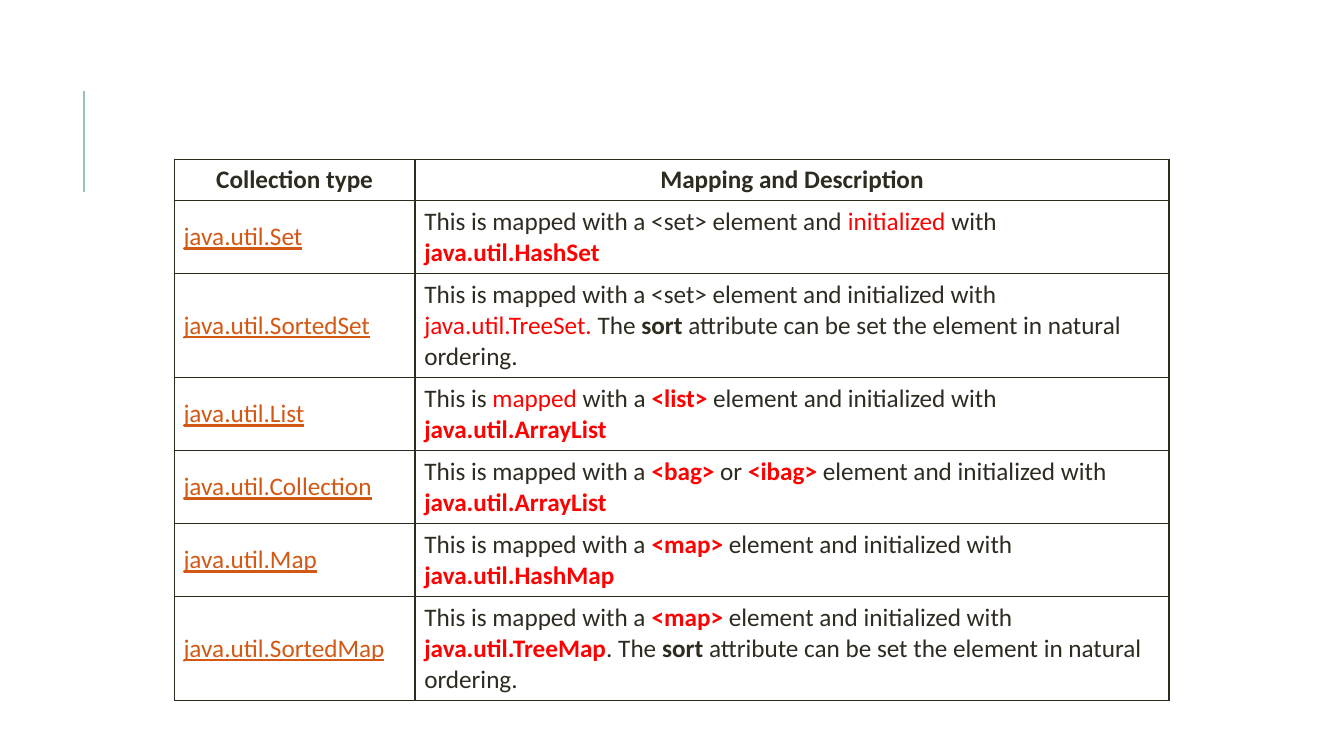
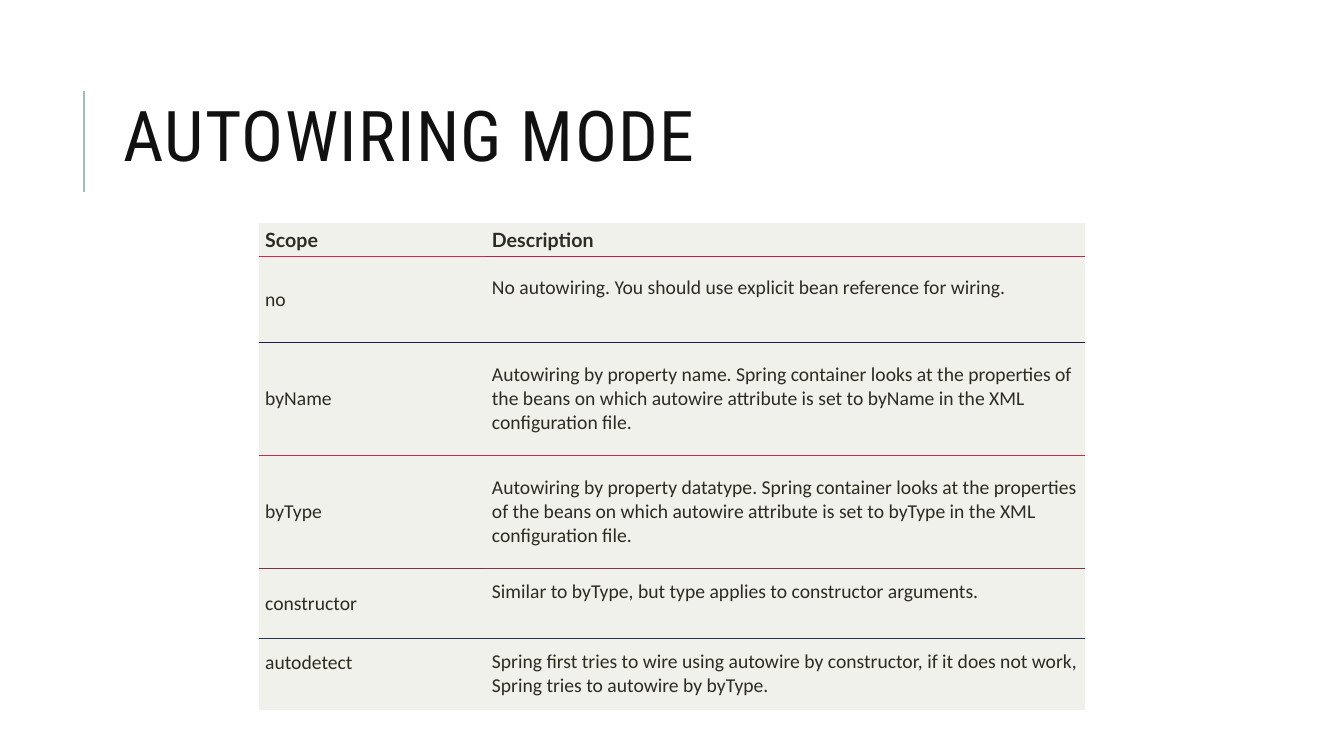
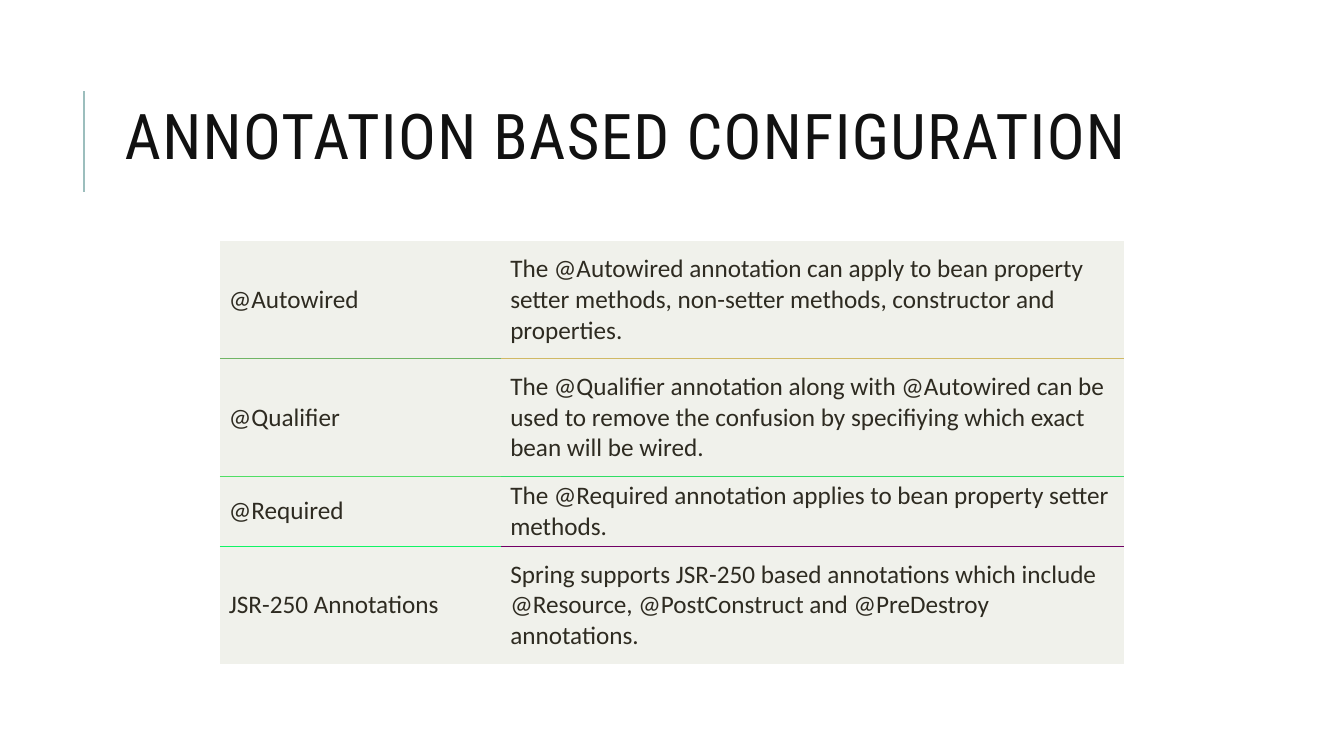
import pptx
import pptx.dml.color
import pptx.enum.shapes
import pptx.enum.text
import pptx.oxml.ns
import pptx.util
from lxml import etree

Pt = pptx.util.Pt
qn = pptx.oxml.ns.qn

COLORS = {
    "ink": "2E2B21", "title": "111111", "accent": "9CBEBD",
    "red": "FF0000", "link": "D25814", "panel": "F0F1EB",
}
TITLE_FONT, HEADER_FONT, BODY_FONT = "Roboto Condensed", "Lato", "Calibri"
LEFT, CENTER = pptx.enum.text.PP_ALIGN.LEFT, pptx.enum.text.PP_ALIGN.CENTER

# Run styles: colour, bold, underline
RUN_STYLES = {
    "plain": ("ink", False, False),
    "bold": ("ink", True, False),
    "red": ("red", False, False),
    "key": ("red", True, False),
    "link": ("link", False, True),
}


def rgb(name):
    return pptx.dml.color.RGBColor.from_string(COLORS[name])


def add_base(presentation):
    """Add a blank slide with the accent line beside the title."""
    slide = presentation.slides.add_slide(presentation.slide_layouts[6])
    line = slide.shapes.add_connector(
        pptx.enum.shapes.MSO_CONNECTOR.STRAIGHT, Pt(60), Pt(137), Pt(60), Pt(65))
    line.line.color.rgb = rgb("accent")
    line.line.width = Pt(1.5)
    etree.SubElement(line._element.spPr, qn("a:effectLst"))
    return slide


def add_title(slide, text, left, size):
    shape = slide.shapes.add_textbox(Pt(left), Pt(65), Pt(765), Pt(72))
    frame = shape.text_frame
    frame.word_wrap = True
    frame.vertical_anchor = pptx.enum.text.MSO_ANCHOR.MIDDLE
    frame.text = text
    paragraph = frame.paragraphs[0]
    paragraph.line_spacing = 0.8
    font = paragraph.runs[0].font
    font.name, font.size, font.color.rgb = TITLE_FONT, Pt(size), rgb("title")
    paragraph.runs[0]._r.get_or_add_rPr().set("spc", "100")


def set_borders(cell, borders, width):
    """Draw the given sides (L, R, T, B) and hide the others."""
    properties = cell._tc.get_or_add_tcPr()
    for side in "LRTB":
        line = etree.SubElement(properties, qn("a:ln" + side), w=str(Pt(width)))
        color = borders.get(side)
        if color:
            fill = etree.SubElement(line, qn("a:solidFill"))
            etree.SubElement(fill, qn("a:srgbClr"), val=color)
        else:
            etree.SubElement(line, qn("a:noFill"))


def fill_cell(cell, runs, size, font_name, alignment):
    cell.vertical_anchor = pptx.enum.text.MSO_ANCHOR.MIDDLE
    cell.text_frame.word_wrap = True
    paragraph = cell.text_frame.paragraphs[0]
    paragraph.alignment = alignment
    for text, style in runs:
        run = paragraph.add_run()
        run.text = text
        color, bold, underline = RUN_STYLES[style]
        font = run.font
        font.name, font.size, font.color.rgb = font_name, Pt(size), rgb(color)
        font.bold, font.underline = bold, underline


def add_grid(slide, origin, columns, heights, rows, size, insets, rules=None,
             header_font=BODY_FONT, header_alignment=LEFT, raised=()):
    """Add a table; rules holds the colours below each row, None boxes every cell.

    Cells listed in raised keep one free line below their text.
    """
    table = slide.shapes.add_table(
        len(rows), len(columns), Pt(origin[0]), Pt(origin[1]),
        Pt(sum(columns)), Pt(sum(heights))).table
    table.first_row = table.horz_banding = False
    for column, width in zip(table.columns, columns):
        column.width = Pt(width)
    for row, height in zip(table.rows, heights):
        row.height = Pt(height)

    for r, row in enumerate(rows):
        for c, content in enumerate(row):
            cell = table.cell(r, c)
            if rules is None:
                set_borders(cell, dict.fromkeys("LRTB", COLORS["ink"]), 1)
                cell.fill.background()
            else:
                borders = {}
                if r > 0:
                    borders["T"] = rules[r - 1][c]
                if r < len(rules):
                    borders["B"] = rules[r][c]
                set_borders(cell, borders, 0.75)
                cell.fill.solid()
                cell.fill.fore_color.rgb = rgb("panel")

            cell.margin_left = cell.margin_right = Pt(insets[0])
            cell.margin_top = Pt(insets[1])
            free_line = 1.2 * size if (r, c) in raised else 0
            cell.margin_bottom = Pt(round(insets[1] + free_line, 2))
            runs = [(content, "plain")] if isinstance(content, str) else content
            header = r == 0
            fill_cell(cell, runs, size, header_font if header else BODY_FONT,
                      header_alignment if header else LEFT)


def build_collections(presentation):
    slide = add_base(presentation)
    opening = ("This is mapped with a ", "plain")
    closing = ("element and initialized with ", "plain")
    sorting = [("sort", "bold"),
               (" attribute can be set the element in natural ordering.", "plain")]
    mappings = [
        ("Set", [("This is mapped with a <set> element and ", "plain"),
                 ("initialized", "red"), (" with ", "plain"),
                 ("java.util.HashSet", "key")]),
        ("SortedSet", [("This is mapped with a <set> element and initialized with ",
                        "plain"),
                       ("java.util.TreeSet.", "red"), (" The ", "plain"), *sorting]),
        ("List", [("This is ", "plain"), ("mapped", "red"), (" with a ", "plain"),
                  ("<list> ", "key"), closing, ("java.util.ArrayList", "key")]),
        ("Collection", [opening, ("<bag> ", "key"), ("or ", "plain"),
                        ("<ibag> ", "key"), closing, ("java.util.ArrayList", "key")]),
        ("Map", [opening, ("<map> ", "key"), closing, ("java.util.HashMap", "key")]),
        ("SortedMap", [opening, ("<map> ", "key"), closing,
                       ("java.util.TreeMap", "key"), (". The ", "plain"), *sorting]),
    ]
    rows = [[[("Collection type", "bold")], [("Mapping and Description", "bold")]]]
    rows += [[[("java.util." + name, "link")], runs] for name, runs in mappings]
    add_grid(slide, (124.5, 113.8), (172, 538.6),
             (29.5, 52.1, 74.5, 52.1, 52.1, 52.1, 74.5), rows, 18, (6.6, 3.6),
             header_alignment=CENTER)


def build_autowiring(presentation):
    slide = add_base(presentation)
    add_title(slide, "AUTOWIRING MODE", 81, 50)
    rows = [
        [[("Scope", "bold")], [("Description", "bold")]],
        ["no", "No autowiring. You should use explicit bean reference for wiring."],
        ["byName", "Autowiring by property name. Spring container looks at the "
         "properties of the beans on which autowire attribute is set to byName "
         "in the XML configuration file."],
        ["byType", "Autowiring by property datatype. Spring container looks at the "
         "properties of the beans on which autowire attribute is set to byType "
         "in the XML configuration file."],
        ["constructor",
         "Similar to byType, but type applies to constructor arguments."],
        ["autodetect", "Spring first tries to wire using autowire by constructor, "
         "if it does not work, Spring tries to autowire by byType."],
    ]
    rules = [("E0204D", "C0204D"), ("201B4D", "201B4D"), ("C02D4D", "C02D4D"),
             ("802E4D", "80354D"), ("20344D", "20344D")]
    add_grid(slide, (185, 159.3), (162, 428), (24, 61.4, 80.7, 80.7, 50, 51),
             rows, 14, (4.4, 2.2), rules, header_font=HEADER_FONT,
             raised={(1, 1), (4, 1), (5, 0)})


def build_annotations(presentation):
    slide = add_base(presentation)
    add_title(slide, "ANNOTATION BASED CONFIGURATION", 82, 45)
    rows = [
        ["@Autowired", "The @Autowired annotation can apply to bean property "
         "setter methods, non-setter methods, constructor and properties."],
        ["@Qualifier", "The @Qualifier annotation along with @Autowired can be "
         "used to remove the confusion by specifiying which exact bean will be "
         "wired."],
        ["@Required",
         "The @Required annotation applies to bean property setter methods."],
        ["JSR-250 Annotations", "Spring supports JSR-250 based annotations which "
         "include @Resource, @PostConstruct and @PreDestroy annotations."],
    ]
    rules = [("70B565", "D0B965"), ("50DF64", "30DE64"), ("10F564", "700065")]
    add_grid(slide, (157, 172.3), (201, 445), (84, 84, 50, 84), rows, 18,
             (6.5, 3), rules)


def main():
    presentation = pptx.Presentation()
    presentation.slide_width, presentation.slide_height = Pt(960), Pt(540)
    build_collections(presentation)
    build_autowiring(presentation)
    build_annotations(presentation)
    presentation.save("out.pptx")


if __name__ == "__main__":
    main()
